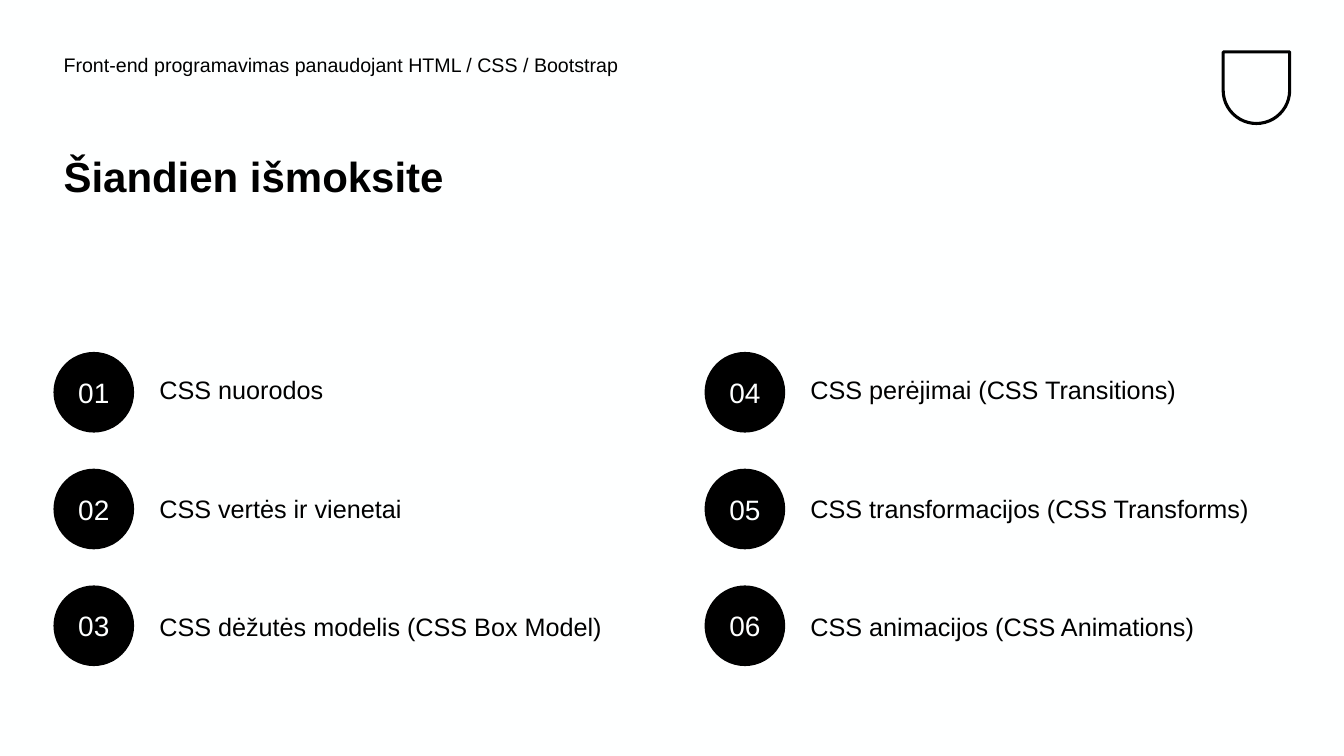
import pptx
import pptx.util
import pptx.dml.color
import pptx.enum.shapes
import pptx.enum.text
import pptx.oxml.ns

Pt = pptx.util.Pt
SHAPES = pptx.enum.shapes.MSO_SHAPE
ALIGN = pptx.enum.text.PP_ALIGN
ANCHOR = pptx.enum.text.MSO_ANCHOR

BLACK = "000000"
WHITE = "FEFFFF"
FONT = "Arial"

TOPICS = [
    ["CSS nuorodos", "CSS vertės ir vienetai", "CSS dėžutės modelis (CSS Box Model)"],
    ["CSS perėjimai (CSS Transitions)", "CSS transformacijos (CSS Transforms)",
     "CSS animacijos (CSS Animations)"],
]

MARGIN = 38.2
COLUMN_PITCH = 465.1
ROW_PITCH = 83.4
CIRCLE = 57.6
LABEL_HEIGHT = 32.4
TOPIC_SIZE = 18
TOPIC_LINE = 20.7


def color(hex_string):
    """Turn a hex string into a colour."""
    return pptx.dml.color.RGBColor.from_string(hex_string)


def place(shape, left, top, width, height):
    """Put a shape at the given box, in points."""
    shape.left, shape.top = Pt(left), Pt(top)
    shape.width, shape.height = Pt(width), Pt(height)


def write(shape, lines, size, ink=BLACK, bold=False, align=ALIGN.LEFT,
          anchor=ANCHOR.TOP, spacing=1.0, gap=0):
    """Fill a shape with unbulleted paragraphs and format their runs."""
    frame = shape.text_frame
    frame.text = "\n".join(lines)
    frame.word_wrap = True
    frame.auto_size = pptx.enum.text.MSO_AUTO_SIZE.NONE
    frame.vertical_anchor = anchor
    for paragraph in frame.paragraphs:
        paragraph.alignment = align
        paragraph.line_spacing = spacing
        paragraph.space_before, paragraph.space_after = Pt(0), Pt(gap)
        properties = paragraph._p.get_or_add_pPr()
        properties.set("marL", "0")
        properties.set("indent", "0")
        properties.append(pptx.oxml.parse_xml(
            "<a:buNone %s/>" % pptx.oxml.ns.nsdecls("a")))
        for run in paragraph.runs:
            run.font.name, run.font.size, run.font.bold = FONT, Pt(size), bold
            run.font.color.rgb = color(ink)


def add_heading(course, title, left, top):
    """Place the course name and, below it, the slide title."""
    place(course, left, top, 534.2, 36)
    write(course, ["Front-end programavimas panaudojant HTML / CSS / Bootstrap"],
          14, spacing=0.9)
    place(title, left, top + 72, 406, 107.3)
    write(title, ["Šiandien išmoksite"], 30, bold=True, spacing=0.9)


def add_shield(slide, left, top, width, height):
    """Draw a plain shield outline in place of the emblem."""
    shield = slide.shapes.add_shape(SHAPES.ROUND_2_SAME_RECTANGLE,
                                    Pt(left), Pt(top), Pt(width), Pt(height))
    shield.adjustments[0] = 0.5
    shield.rotation = 180
    shield.shadow.inherit = False
    shield.fill.background()
    shield.line.color.rgb = color(BLACK)
    shield.line.width = Pt(2.2)


def add_number(slide, number, left, top):
    """Draw a black circle holding a two-digit number."""
    circle = slide.shapes.add_shape(SHAPES.OVAL, Pt(left), Pt(top),
                                    Pt(CIRCLE), Pt(CIRCLE))
    circle.shadow.inherit = False
    circle.fill.solid()
    circle.fill.fore_color.rgb = color(BLACK)
    circle.line.fill.background()
    write(circle, [f"{number:02d}"], 20, WHITE, align=ALIGN.CENTER,
          anchor=ANCHOR.MIDDLE)


def add_topics(slide, topic_list, topics, first_number, left, top):
    """Place one column of topics with a numbered circle beside each."""
    place(topic_list, left + 68.4, top + 12.7, 333.4,
          LABEL_HEIGHT + ROW_PITCH * (len(topics) - 1))
    write(topic_list, topics, TOPIC_SIZE, gap=ROW_PITCH - TOPIC_LINE)
    for row in range(len(topics)):
        add_number(slide, first_number + row, left, top + row * ROW_PITCH)


def build_agenda(deck):
    """Build the slide that lists what is learned today."""
    slide = deck.slides.add_slide(deck.slide_layouts[4])
    slide.background.fill.solid()
    slide.background.fill.fore_color.rgb = color(WHITE)
    title, course, first_list, spare, second_list = slide.placeholders
    spare._element.getparent().remove(spare._element)

    add_shield(slide, 873.7, 37.1, 47.5, 51.1)
    add_heading(course, title, MARGIN, 36)
    first_number = 1
    for column, (topic_list, topics) in enumerate(
            zip([first_list, second_list], TOPICS)):
        add_topics(slide, topic_list, topics, first_number,
                   MARGIN + column * COLUMN_PITCH, 251.4)
        first_number += len(topics)


deck = pptx.Presentation()
deck.slide_width, deck.slide_height = Pt(960), Pt(540)
build_agenda(deck)
deck.save("out.pptx")
